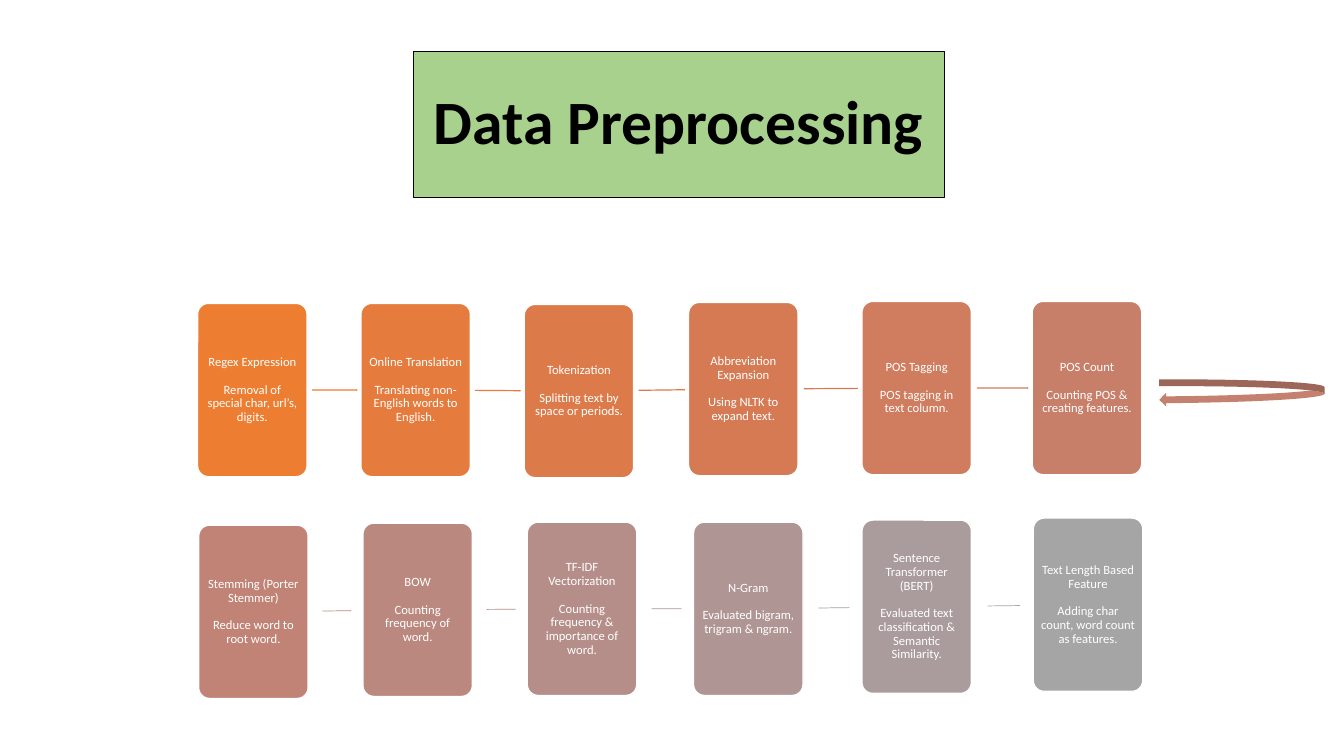
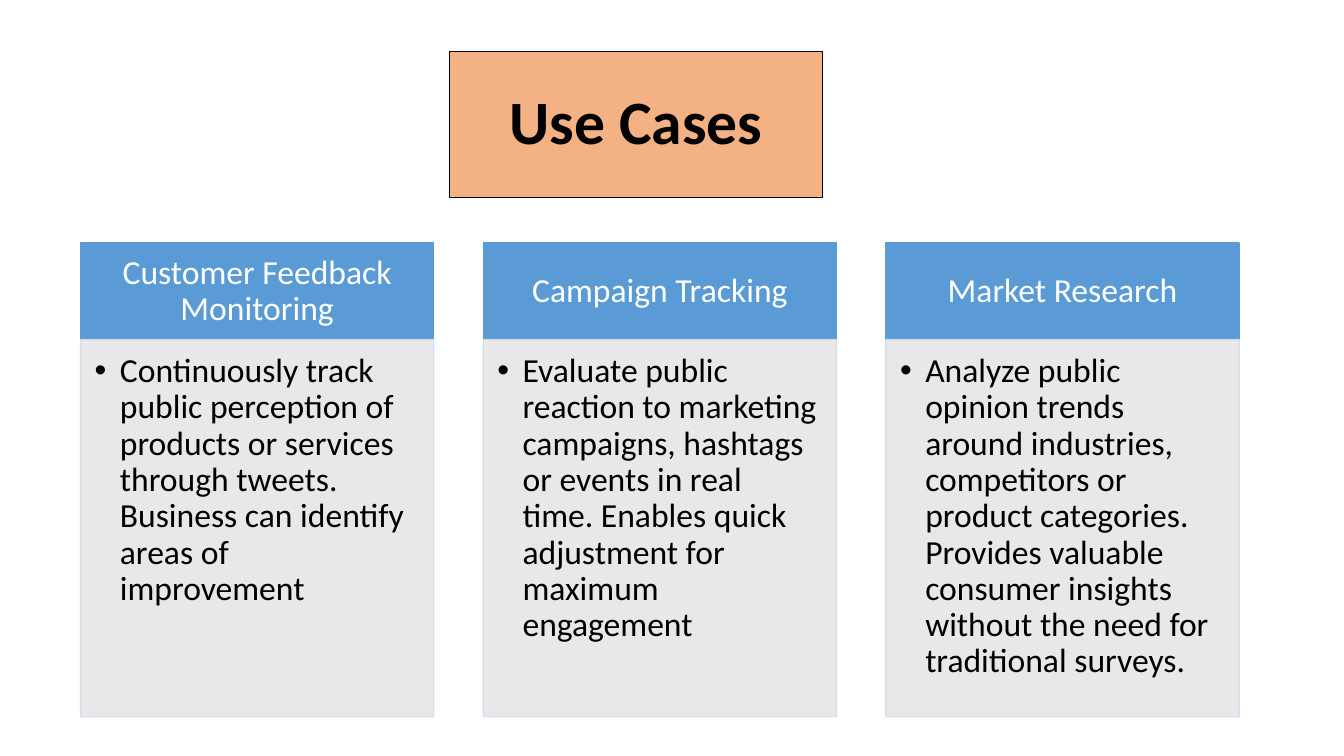
import math
from pptx import Presentation
from pptx import util as u
from pptx.dml.color import RGBColor
from pptx.enum import shapes, text
from pptx.oxml import ns
from lxml import etree

W, H = u.Inches(13.33), u.Inches(7.5)
FONT = "Calibri"
SHAPE = shapes.MSO_SHAPE
ALIGN = text.PP_ALIGN
ANCHOR = text.MSO_ANCHOR

BLACK = RGBColor(0x00, 0x00, 0x00)
WHITE = RGBColor(0xFF, 0xFF, 0xFF)
GREEN = RGBColor(0xA9, 0xD1, 0x8E)
PEACH = RGBColor(0xF4, 0xB1, 0x83)
BLUE = RGBColor(0x5B, 0x9B, 0xD5)
PALE_BLUE = RGBColor(0xD2, 0xDE, 0xEF)
PALE_GREY = RGBColor(0xE7, 0xE6, 0xE6)
TURN = RGBColor(0xC4, 0x81, 0x70)
STEP_COLOURS = [
    [RGBColor.from_string(c) for c in row.split()]
    for row in ("ED7D31 E57B3D DD7A49 D67A54 CF7C5F C87F6A",
                "C18375 BB887F B58E89 AF9593 AA9C9C A5A5A5")]

CARD_W, CARD_H = 8.15, 22.93

STEP_ROWS = [
    dict(arrow=(0.09, 0.85, 0.27), arrow_colour=0, cards=[
        (14.7, 40.13, "Regex Expression", "Removal of special char, url’s, digits."),
        (26.85, 40.13, "Online Translation", "Translating non-English words to English."),
        (39, 40.27, "Tokenization", "Splitting text by space or periods."),
        (51.23, 40, "Abbreviation Expansion", "Using NLTK to expand text."),
        (64.13, 39.87, "POS Tagging", "POS tagging in text column."),
        (76.8, 39.87, "POS Count", "Counting POS & creating features.")]),
    dict(arrow=(0.26, 0.53, 0.15), arrow_colour=1, cards=[
        (14.78, 69.47, "Stemming (Porter Stemmer)", "Reduce word to root word."),
        (27, 69.2, "BOW", "Counting frequency of word."),
        (39.23, 69.07, "TF-IDF Vectorization", "Counting frequency & importance of word."),
        (51.6, 69.07, "N-Gram", "Evaluated bigram, trigram & ngram."),
        (64.13, 68.8, "Sentence Transformer (BERT)",
         "Evaluated text classification & Semantic Similarity."),
        (76.88, 68.53, "Text Length Based Feature",
         "Adding char count, word count as features.")]),
]

USE_CASES = [
    ("Customer Feedback Monitoring",
     "Continuously track public perception of products or services through tweets. "
     "Business can identify areas of improvement"),
    ("Campaign Tracking",
     "Evaluate public reaction to marketing campaigns, hashtags or events in real time. "
     "Enables quick adjustment for maximum engagement"),
    ("Market Research",
     "Analyze public opinion trends around industries, competitors or product categories. "
     "Provides valuable consumer insights without the need for traditional surveys."),
]


def place(box):
    x, y, w, h = box
    return [int(v) for v in (W * x / 100, H * y / 100, W * w / 100, H * h / 100)]


def apply(obj, values):
    for name, value in values.items():
        setattr(obj, name, value)


def paint(sp, fill, line=None, weight=1):
    sp.fill.solid()
    sp.fill.fore_color.rgb = fill
    if line is None:
        sp.line.fill.background()
    else:
        sp.line.color.rgb = line
        sp.line.width = u.Pt(weight)


def add_box(s, kind, box, fill, line=None):
    sp = s.shapes.add_shape(kind, *place(box))
    sp.shadow.inherit = False
    paint(sp, fill, line)
    return sp


def write(sp, lines, size, colour, insets, align=ALIGN.CENTER, anchor=ANCHOR.MIDDLE,
          bold=False, gap=0):
    tf = sp.text_frame
    sides = ("margin_left", "margin_top", "margin_right", "margin_bottom")
    apply(tf, dict(zip(sides, map(u.Inches, insets)), word_wrap=True,
                   auto_size=text.MSO_AUTO_SIZE.NONE, vertical_anchor=anchor))
    for i, line in enumerate(lines):
        p = tf.add_paragraph() if i else tf.paragraphs[0]
        apply(p, dict(alignment=align, line_spacing=0.9,
                      space_before=u.Pt(gap if i else 0), space_after=u.Pt(0)))
        r = p.add_run()
        r.text = line
        apply(r.font, dict(name=FONT, size=u.Pt(size), bold=bold))
        r.font.color.rgb = colour
    return tf


def add_bullet(p):
    pPr = p._p.get_or_add_pPr()
    pPr.set("marL", str(u.Inches(0.25)))
    pPr.set("indent", str(-u.Inches(0.25)))
    etree.SubElement(pPr, ns.qn("a:buFont")).set("typeface", "Arial")
    etree.SubElement(pPr, ns.qn("a:buChar")).set("char", "•")


def set_opacity(sp, percent):
    for colour in sp._element.spPr.iter(ns.qn("a:srgbClr")):
        etree.SubElement(colour, ns.qn("a:alpha")).set("val", str(percent * 1000))


def titled_slide(prs, title, left, width, fill):
    s = prs.slides.add_slide(prs.slide_layouts[5])
    sp = s.shapes.title
    apply(sp, dict(zip(("left", "top", "width", "height"),
                       place((left, 6.75, width, 19.33)))))
    paint(sp, fill, BLACK, 0.75)
    write(sp, [title], 44, BLACK, (0.1, 0.05, 0.1, 0.05), bold=True)
    return s


def step_card(s, x, y, lines, colour):
    sp = add_box(s, SHAPE.ROUNDED_RECTANGLE, (x, y, CARD_W, CARD_H), colour, WHITE)
    sp.adjustments[0] = 0.1
    write(sp, lines, 9, WHITE, [0.04] * 4, gap=10)


def step_arrow(s, start, end, offset, share, height, colour):
    (x1, y1), (x2, y2) = start, end
    gap = x2 - x1 - CARD_W
    middle = (y1 + y2 + CARD_H) / 2
    sp = add_box(s, SHAPE.RIGHT_ARROW,
                 (x1 + CARD_W + gap * offset, middle - height / 2, gap * share, height),
                 colour)
    sp.adjustments[0] = 0.6
    sp.rotation = math.degrees(math.atan2(H * (y2 - y1), W * (x2 - x1)))


def step_row(s, row, colours):
    cards = row["cards"]
    for (x, y, *lines), colour in zip(cards, colours):
        step_card(s, x, y, lines, colour)
    arrow_colours = colours[row["arrow_colour"]:]
    for a, b, colour in zip(cards, cards[1:], arrow_colours):
        step_arrow(s, a[:2], b[:2], *row["arrow"], colour)


def preprocessing_slide(prs):
    s = titled_slide(prs, "Data Preprocessing", 30.75, 39.53, GREEN)
    for row, colours in zip(STEP_ROWS, STEP_COLOURS):
        step_row(s, row, colours)
    turn = add_box(s, SHAPE.CURVED_LEFT_ARROW, (86.25, 50.13, 12.3, 3.6), TURN)
    turn.rotation = -0.3


def use_case_column(s, box, heading, body):
    x, y, w, h = box
    head_h = h * 0.204
    head = add_box(s, SHAPE.RECTANGLE, (x, y, w, head_h), BLUE, BLUE)
    write(head, [heading], 24, WHITE, (0.19, 0.11, 0.19, 0.11))
    panel = add_box(s, SHAPE.RECTANGLE, (x, y + head_h, w, h - head_h),
                    PALE_GREY, PALE_BLUE)
    set_opacity(panel, 90)
    tf = write(panel, [body], 24, BLACK, (0.14, 0.14, 0.19, 0.21),
               ALIGN.LEFT, ANCHOR.TOP)
    add_bullet(tf.paragraphs[0])


def use_case_columns(s, box, gap=0.14):
    x, y, w, h = box
    n = len(USE_CASES)
    col_w = w / (n + gap * (n - 1))
    for i, case in enumerate(USE_CASES):
        use_case_column(s, (x + i * col_w * (1 + gap), y, col_w, h), *case)


def use_cases_slide(prs):
    s = titled_slide(prs, "Use Cases", 33.45, 27.75, PEACH)
    use_case_columns(s, (6, 32.13, 86.2, 62.67))


def main():
    prs = Presentation()
    apply(prs, dict(slide_width=W, slide_height=H))
    preprocessing_slide(prs)
    use_cases_slide(prs)
    prs.save("out.pptx")


if __name__ == "__main__":
    main()
